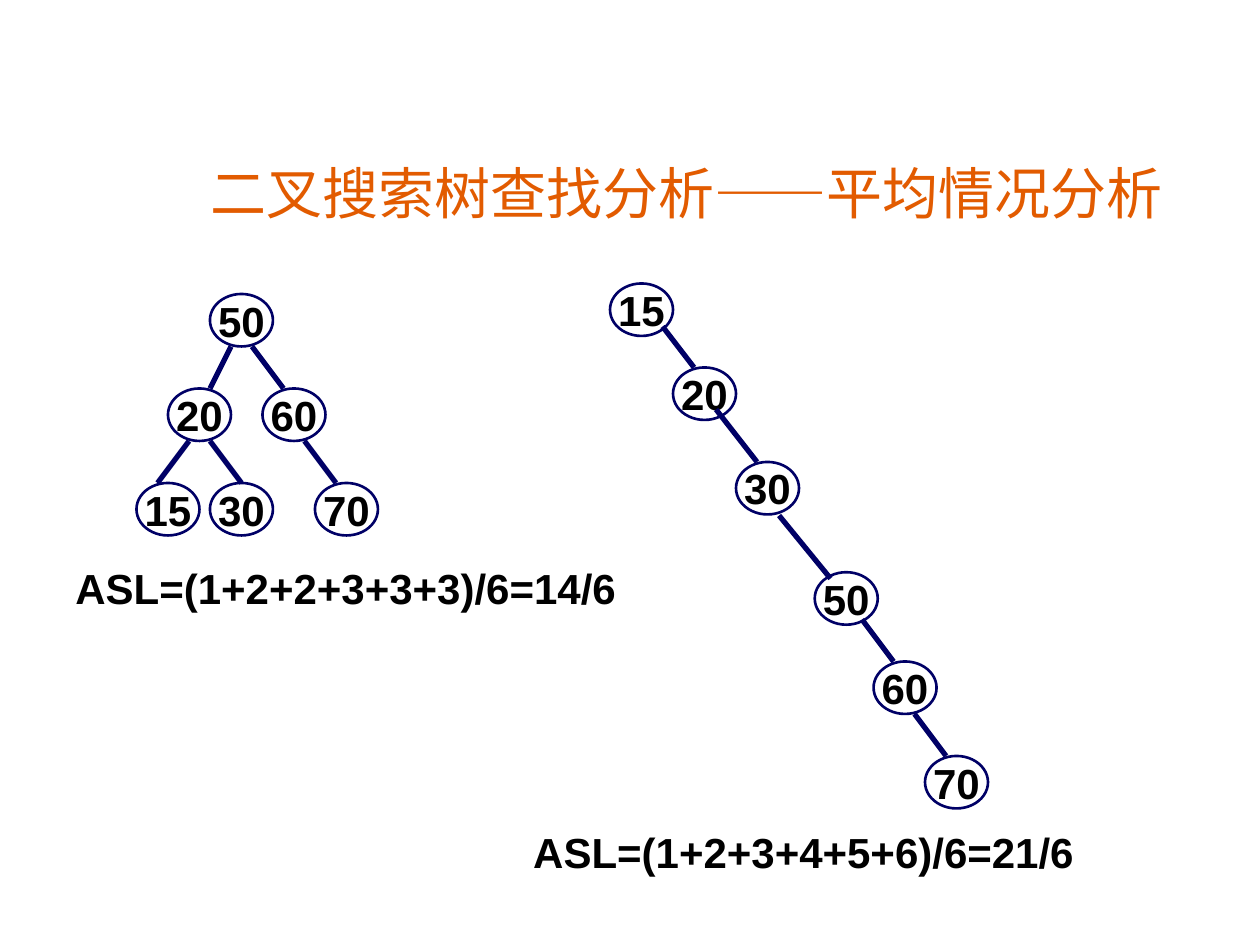
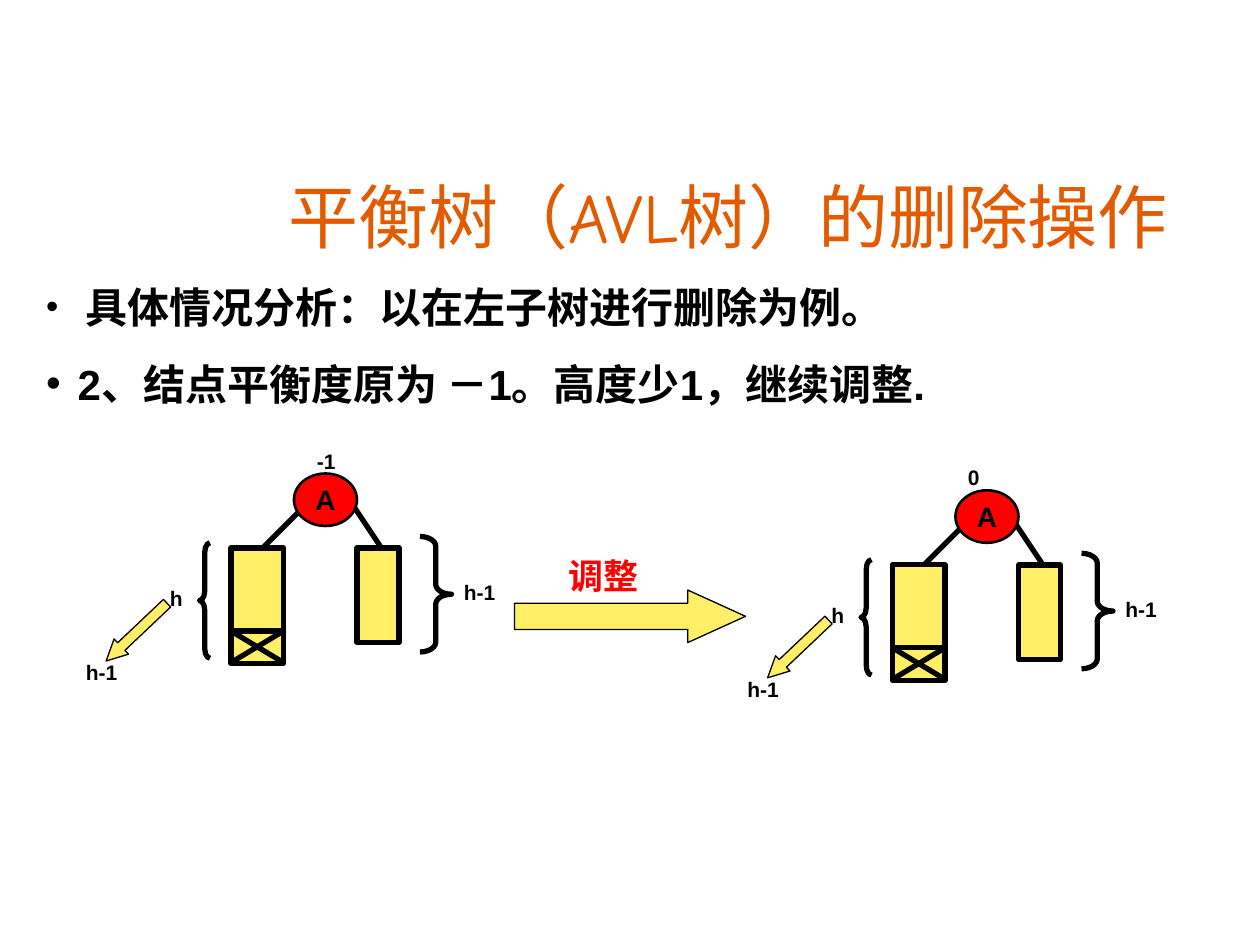
"""Build two slides on search-tree analysis and AVL deletion."""
from dataclasses import dataclass

import pptx
import pptx.dml.color
import pptx.enum.shapes
import pptx.enum.text
import pptx.oxml
import pptx.oxml.ns
import pptx.util

PX = 7620
SHAPE = pptx.enum.shapes.MSO_SHAPE
ANCHOR = pptx.enum.text.MSO_ANCHOR
ALIGN = pptx.enum.text.PP_ALIGN


@dataclass(frozen=True)
class Theme:
    """Colours, fonts and type sizes shared by the slides."""
    title: str = "E25B00"
    ink: str = "000000"
    navy: str = "000066"
    red: str = "FF0000"
    yellow: str = "FFEF66"
    title_font: str = "Comic Neue"
    font: str = "Arial"
    body_size: int = 24
    lead_size: int = 20
    node_size: int = 16
    label_size: int = 12
    thin: float = 0.75
    outline: float = 1.5
    thick: float = 3


T = Theme()


def px(*lengths):
    """Turn px lengths into EMU."""
    return [pptx.util.Emu(n * PX) for n in lengths]


def rgb(color):
    """Return a colour object from its hex code."""
    return pptx.dml.color.RGBColor.from_string(color)


def add_run(p, text, size, color=T.ink, font=T.font, bold=True):
    """Add one formatted run to a paragraph."""
    r = p.add_run()
    r.text = text
    r.font.size = pptx.util.Pt(size)
    r.font.name = font
    r.font.bold = bold
    r.font.color.rgb = rgb(color)


def place(sp, box):
    """Move and size a placeholder."""
    sp.left, sp.top, sp.width, sp.height = px(*box)
    sp.text_frame.auto_size = pptx.enum.text.MSO_AUTO_SIZE.NONE


def add_title(slide, box, size, *parts):
    """Fill the title placeholder with (text, font) parts."""
    sp = slide.shapes.title
    place(sp, box)
    sp.text_frame.vertical_anchor = ANCHOR.MIDDLE
    p = sp.text_frame.paragraphs[0]
    p.alignment = ALIGN.CENTER
    for text, font in parts:
        add_run(p, text, size, T.title, font, bold=False)


def add_bullets(slide, box, items):
    """Fill the body placeholder with bulleted (text, size) items."""
    sp = slide.placeholders[1]
    place(sp, box)
    tf = sp.text_frame
    for i, runs in enumerate(items):
        p = tf.add_paragraph() if i else tf.paragraphs[0]
        p.level = 1
        p.space_before = pptx.util.Pt(15 if i else 0)
        pPr = p._p.get_or_add_pPr()
        pPr.set("marL", str(60 * PX))
        pPr.set("indent", str(-30 * PX))
        ns = pptx.oxml.ns.nsdecls("a")
        for xml in (f'<a:buClr {ns}><a:srgbClr val="{T.ink}"/></a:buClr>',
                    f'<a:buChar {ns} char="•"/>'):
            pPr.append(pptx.oxml.parse_xml(xml))
        for text, size in runs:
            add_run(p, text, size)


def add_label(slide, x, y, w, h, text, size=T.label_size, color=T.ink):
    """Add a bold left-aligned text box."""
    tf = slide.shapes.add_textbox(*px(x, y, w, h)).text_frame
    tf.word_wrap = True
    add_run(tf.paragraphs[0], text, size, color)


def add_shape(slide, kind, box, fill=None, line=T.ink, width=T.thick, adj=()):
    """Add a flat preset shape with its outline and adjustments."""
    sp = slide.shapes.add_shape(kind, *px(*box))
    sp.shadow.inherit = False
    if fill:
        sp.fill.solid()
        sp.fill.fore_color.rgb = rgb(fill)
    else:
        sp.fill.background()
    sp.line.color.rgb = rgb(line)
    sp.line.width = pptx.util.Pt(width)
    for i, value in enumerate(adj):
        sp.adjustments[i] = value
    return sp


def add_node(slide, x, y, text, size=T.body_size, fill=None, line=T.navy):
    """Add a round tree node with a centred key."""
    sp = add_shape(slide, SHAPE.OVAL, (x, y, 60, 50), fill, line, T.outline)
    tf = sp.text_frame
    tf.word_wrap = False
    tf.vertical_anchor = ANCHOR.MIDDLE
    tf.paragraphs[0].alignment = ALIGN.CENTER
    add_run(tf.paragraphs[0], text, size)


def add_line(slide, x1, y1, x2, y2, color=T.ink):
    """Add a thick straight line."""
    cx = slide.shapes.add_connector(
        pptx.enum.shapes.MSO_CONNECTOR.STRAIGHT, *px(x1, y1, x2, y2))
    cx.line.color.rgb = rgb(color)
    cx.line.width = pptx.util.Pt(T.thick)
    cx._element.spPr.append(pptx.oxml.parse_xml(
        f'<a:effectLst {pptx.oxml.ns.nsdecls("a")}/>'))


def add_search_tree(slide, nodes, edges):
    """Draw a search tree from its nodes and edges."""
    for node in nodes:
        add_node(slide, *node)
    for edge in edges:
        add_line(slide, *edge, color=T.navy)


def add_avl_tree(slide, dx, dy, balance, balance_x):
    """Draw an AVL node with its two subtrees, shifted by dx and dy."""
    def at(x, y, w, h):
        return x + dx, y + dy, w, h

    def line(x1, y1, x2, y2):
        add_line(slide, x1 + dx, y1 + dy, x2 + dx, y2 + dy)

    line(300, 472, 250, 522)
    line(330, 472, 370, 532)
    add_node(slide, 280 + dx, 451 + dy, "A", T.node_size, T.red, T.ink)
    for subtree in ((220, 522, 50, 110), (340, 522, 40, 90)):
        add_shape(slide, SHAPE.RECTANGLE, at(*subtree), T.yellow)
    line(220, 601, 270, 601)
    line(270, 601, 220, 631)
    line(220, 601, 270, 631)
    add_shape(slide, SHAPE.RIGHT_BRACE, at(400, 511, 30, 110), adj=(0.31, 0.5))
    add_shape(slide, SHAPE.LEFT_BRACE, at(190, 517, 10, 110), adj=(0.92, 0.5))
    for x, y, text in ((balance_x, 421, balance), (430, 546, "h-1"),
                       (150, 552, "h"), (70, 622, "h-1")):
        add_label(slide, *at(x, y, 60, 36), text)
    arrow = add_shape(slide, SHAPE.RIGHT_ARROW, at(90, 592, 80, 20),
                      T.yellow, width=T.thin, adj=(0.5, 1))
    arrow.rotation = 136.5


def build_average_slide(prs):
    """Compare the average search length of two search trees."""
    slide = prs.slides.add_slide(prs.slide_layouts[5])
    add_title(slide, (108, 138, 1092, 89), 32,
              ("二叉搜索树查找分析", T.title_font), ("——", T.font),
              ("平均情况分析", T.title_font))
    add_search_tree(
        slide,
        [(200, 280, "50"), (160, 370, "20"), (250, 370, "60"),
         (130, 460, "15"), (200, 460, "30"), (300, 460, "70")],
        [(220, 330, 200, 370), (240, 330, 270, 370), (180, 420, 150, 460),
         (200, 420, 230, 460), (290, 420, 320, 460)])
    add_search_tree(
        slide,
        [(581, 270, "15"), (641, 350, "20"), (701, 440, "30"),
         (776, 545, "50"), (832, 630, "60"), (881, 720, "70")],
        [(631, 311, 661, 350), (682, 390, 721, 440), (742, 491, 791, 551),
         (821, 590, 851, 630), (871, 680, 901, 720)])
    for x, y, text in ((60, 530, "ASL=(1+2+2+3+3+3)/6=14/6"),
                       (496, 781, "ASL=(1+2+3+4+5+6)/6=21/6")):
        add_label(slide, x, y, 570, 60, text, T.body_size)


def build_deletion_slide(prs):
    """Show the rebalancing step after a deletion."""
    slide = prs.slides.add_slide(prs.slide_layouts[1])
    add_title(slide, (187, 161, 1013, 89), 40,
              ("平衡树（AVL树）的删除操作", T.title_font))
    add_bullets(slide, (2, 262, 962, 133), [
        [(" ", T.lead_size),
         ("具体情况分析：以在左子树进行删除为例。", T.body_size)],
        [("2、结点平衡度原为 －1。高度少1，继续调整.", T.body_size)]])
    add_avl_tree(slide, 0, 0, "-1", 290)
    add_shape(slide, SHAPE.RIGHT_ARROW, (490, 562, 220, 50), T.yellow,
              width=T.thin, adj=(0.5, 1.1))
    add_label(slide, 530, 522, 160, 53, "调整", T.lead_size, T.red)
    add_avl_tree(slide, 630, 16, "0", 280)


def main():
    """Build and save the presentation."""
    prs = pptx.Presentation()
    prs.slide_width, prs.slide_height = px(1200, 900)
    build_average_slide(prs)
    build_deletion_slide(prs)
    prs.save("out.pptx")


if __name__ == "__main__":
    main()
